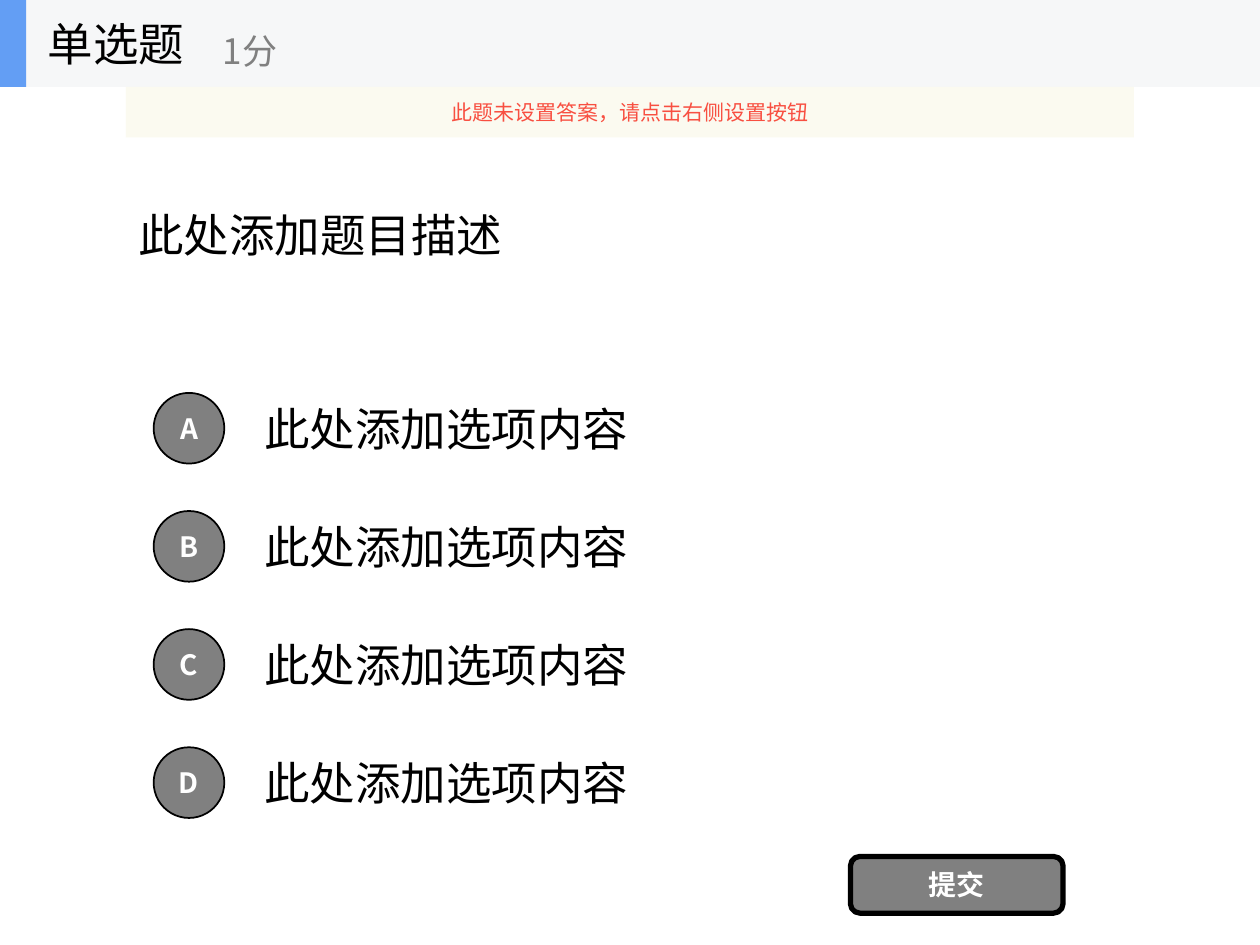
from dataclasses import dataclass

import pptx
import pptx.dml.color
import pptx.enum.shapes
import pptx.enum.text
import pptx.oxml
import pptx.oxml.ns
import pptx.util

Pt = pptx.util.Pt
RGB = pptx.dml.color.RGBColor.from_string
SHAPE = pptx.enum.shapes.MSO_SHAPE
ALIGN = pptx.enum.text.PP_ALIGN
MIDDLE = pptx.enum.text.MSO_ANCHOR.MIDDLE


@dataclass(frozen=True)
class Theme:
    font: str = "Noto Sans CJK SC"
    ink: str = "000000"
    gray: str = "808080"
    white: str = "FFFFFF"
    band: str = "F6F7F8"
    accent: str = "639EF4"
    notice: str = "FBFAEF"
    warning: str = "F84F41"
    body: int = 26
    score: int = 20
    label: int = 16
    small: int = 12


THEME = Theme()


def write(sp, text, size, color, align=ALIGN.LEFT, bold=False, inset=7.2):
    tf = sp.text_frame
    tf.word_wrap = True
    tf.vertical_anchor = MIDDLE
    tf.margin_left = tf.margin_right = Pt(inset)
    tf.text = text
    p = tf.paragraphs[0]
    p.alignment = align
    font = p.runs[0].font
    font.name, font.size, font.bold = THEME.font, Pt(size), bold
    font.color.rgb = RGB(color)
    ea = pptx.oxml.parse_xml(
        f'<a:ea {pptx.oxml.ns.nsdecls("a")} typeface="{THEME.font}"/>')
    p.runs[0].font._element.find(pptx.oxml.ns.qn("a:latin")).addnext(ea)


def add_text(s, box, text, size, color):
    sp = s.shapes.add_textbox(*map(Pt, box))
    write(sp, text, size, color)


def add_box(s, kind, box, fill, line=0):
    sp = s.shapes.add_shape(kind, *map(Pt, box))
    sp.shadow.inherit = False
    sp.fill.solid()
    sp.fill.fore_color.rgb = RGB(fill)
    if line:
        sp.line.color.rgb = RGB(THEME.ink)
        sp.line.width = Pt(line)
    else:
        sp.line.fill.background()
    return sp


def add_button(s, kind, box, text, line):
    sp = add_box(s, kind, box, THEME.gray, line)
    write(sp, text, THEME.label, THEME.white, ALIGN.CENTER, True, inset=0)


def add_options(s, box, letters, text, pitch):
    x, y, w, h = box
    size, gutter = 40.4, 56.2
    for i, letter in enumerate(letters):
        top = y + i * pitch
        add_text(s, (x + gutter, top, w - gutter, h), text, THEME.body, THEME.ink)
        circle = (x, top + (h - size) / 2, size, size)
        add_button(s, SHAPE.OVAL, circle, letter, 1)


def add_header(s, box, title, score):
    x, y, w, h = box
    add_box(s, SHAPE.RECTANGLE, box, THEME.band)
    add_box(s, SHAPE.RECTANGLE, (x, y, 15, h), THEME.accent)
    add_text(s, (x + 20.2, y, 150, h), title, THEME.body, THEME.ink)
    add_text(s, (x + 120.2, y + 8.8, 180, 40.4), score, THEME.score, THEME.gray)


def add_notice(s, box, text):
    sp = add_box(s, SHAPE.RECTANGLE, box, THEME.notice)
    color = sp._element.spPr.find(".//" + pptx.oxml.ns.qn("a:srgbClr"))
    color.append(pptx.oxml.parse_xml(
        f'<a:alpha {pptx.oxml.ns.nsdecls("a")} val="90000"/>'))
    write(sp, text, THEME.small, THEME.warning, ALIGN.CENTER)


def main():
    prs = pptx.Presentation()
    prs.slide_width, prs.slide_height = Pt(720), Pt(540)
    s = prs.slides.add_slide(prs.slide_layouts[6])
    header_h = 49.7
    add_text(s, (72, header_h, 576, 168.5), "此处添加题目描述", THEME.body, THEME.ink)
    add_options(s, (87.8, 219.5, 560.2, 50.4), "ABCD", "此处添加选项内容", 67.5)
    add_button(s, SHAPE.ROUNDED_RECTANGLE, (486, 489.4, 121.5, 32.4), "提交", 3)
    add_header(s, (0, 0, 720, header_h), "单选题", "1分")
    add_notice(s, (72, header_h, 576, 28.8), "此题未设置答案，请点击右侧设置按钮")
    prs.save("out.pptx")


if __name__ == "__main__":
    main()
